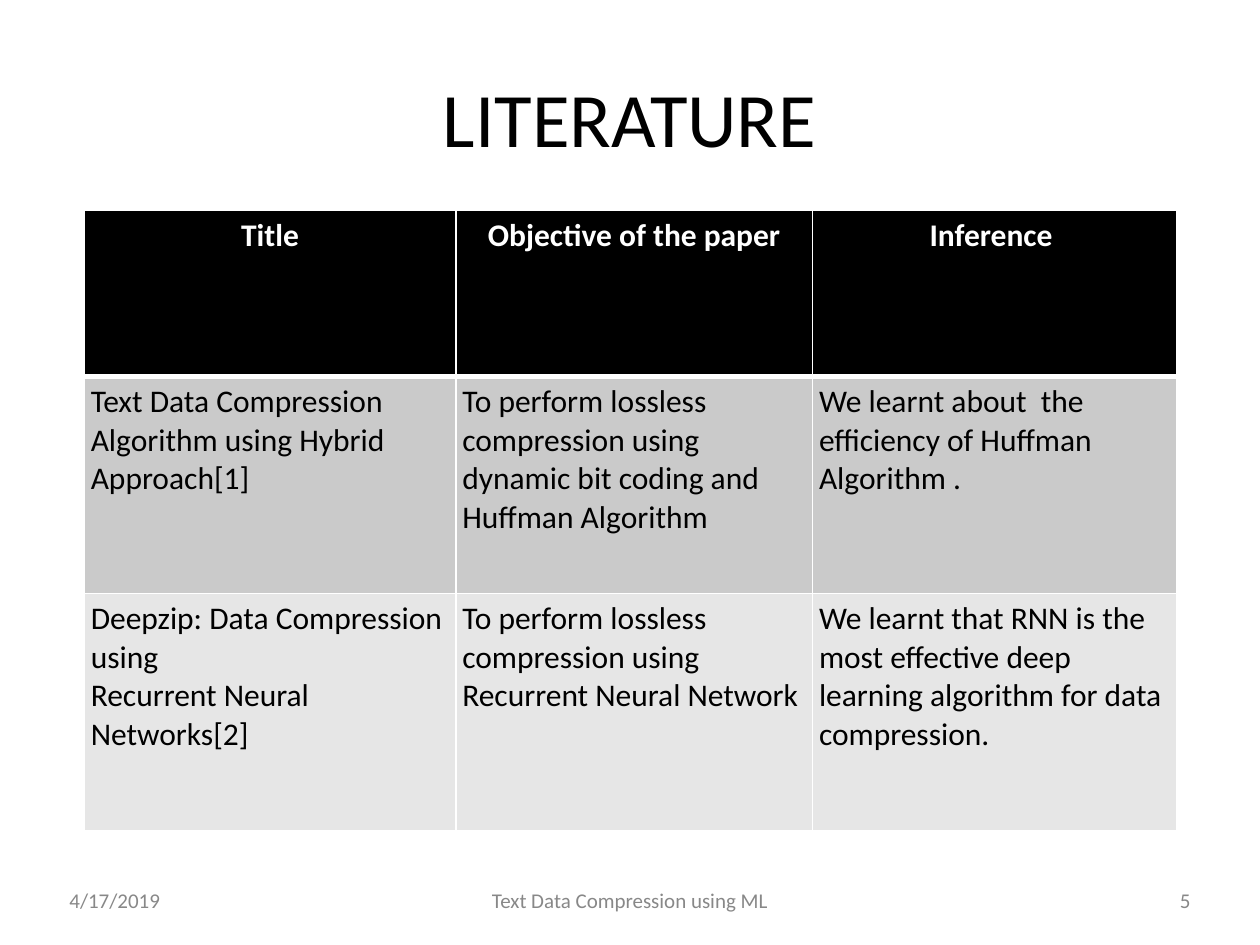
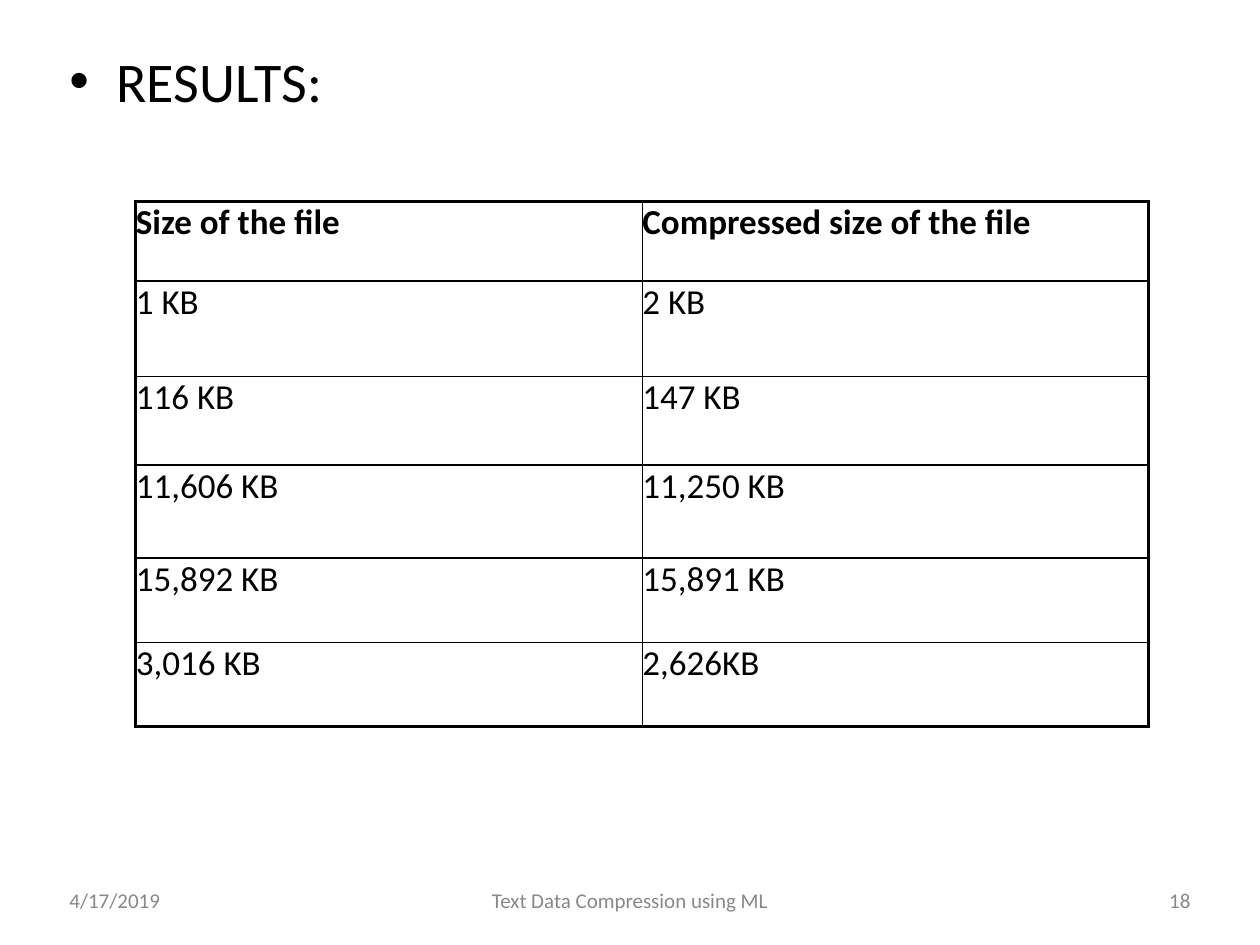
from dataclasses import dataclass

from lxml.etree import SubElement as Sub
from pptx import Presentation
from pptx.dml.color import RGBColor as Rgb
from pptx.enum.text import MSO_ANCHOR as Anchor, PP_ALIGN as Align
from pptx.oxml.ns import qn
from pptx.util import Cm, Pt


@dataclass(frozen=True)
class Theme:
    font: str = "Calibri"
    ink: str = "000000"
    paper: str = "FFFFFF"
    muted: str = "888888"
    bands: tuple = ("CACACA", "E6E6E6")
    title: int = 44
    point: int = 32
    result: int = 20
    body: int = 18
    foot: int = 12
    inset: float = 0.13
    margin: float = 1.27
    width: float = 25.4
    height: float = 19.05


T = Theme()
SPAN = T.width - 2 * T.margin


def write(par, text, size, color, align=Align.LEFT, bold=False):
    """Add text to a paragraph; a newline becomes a line break."""
    par.alignment = align
    for i, line in enumerate(text.split("\n")):
        if i:
            par.add_line_break()
        run = par.add_run()
        run.text = line
        font = run.font
        font.name, font.size, font.bold = T.font, Pt(size), bold
        font.color.rgb = Rgb.from_string(color)


def add_text(slide, box, text, size, color=T.ink, align=Align.LEFT,
             anchor=Anchor.MIDDLE, wrap=True):
    frame = slide.shapes.add_textbox(*map(Cm, box)).text_frame
    frame.word_wrap = wrap
    frame.vertical_anchor = anchor
    frame.margin_left = frame.margin_right = Cm(T.inset)
    frame.margin_top = frame.margin_bottom = Cm(T.inset)
    par = frame.paragraphs[0]
    write(par, text, size, color, align)
    return par


def add_bullet(par, indent):
    par.space_before = Pt(7)
    props = par._p.get_or_add_pPr()
    props.set("marL", str(Cm(indent)))
    props.set("indent", str(-Cm(indent)))
    Sub(props, qn("a:buFont"), typeface="Arial")
    Sub(props, qn("a:buChar"), char="•")


def add_footer(slide, number):
    top, high = 17.78, 0.74
    wide = 0.26 + 0.24 * len(number)
    add_text(slide, (T.margin, top, 5.92, high), "4/17/2019", T.foot, T.muted)
    add_text(slide, (8.68, top, 8.04, high), "Text Data Compression using ML",
             T.foot, T.muted, Align.CENTER)
    add_text(slide, (T.width - T.margin - wide, top, wide, high), number,
             T.foot, T.muted, Align.RIGHT, wrap=False)


def add_edges(cell, color, widths):
    """Draw the borders; widths are left, right, top, bottom in points."""
    props = cell._tc.get_or_add_tcPr()
    for side, width in zip("LRTB", widths):
        line = Sub(props, qn(f"a:ln{side}"), w=str(Pt(width)))
        Sub(Sub(line, qn("a:solidFill")), qn("a:srgbClr"), val=color)


def add_grid(slide, spot, cols, rows, data, style):
    """Build a table; style(cell, row, col, text) finishes each cell."""
    size = sum(cols), sum(rows)
    table = slide.shapes.add_table(len(rows), len(cols),
                                   *map(Cm, spot + size)).table
    table.first_row = table.horz_banding = False
    for col, width in zip(table.columns, cols):
        col.width = Cm(width)
    for row, height in zip(table.rows, rows):
        row.height = Cm(height)
    for r, line in enumerate(data):
        for c, text in enumerate(line):
            style(table.cell(r, c), r, c, text)


def pad(cell, inset):
    cell.margin_left = cell.margin_right = Cm(inset)
    cell.margin_top = cell.margin_bottom = Cm(inset)


def style_paper(cell, row, col, text):
    head = row == 0
    pad(cell, T.inset)
    add_edges(cell, T.paper, (1, 1, 3 if row == 1 else 1, 3 if head else 1))
    cell.fill.solid()
    cell.fill.fore_color.rgb = Rgb.from_string(
        T.ink if head else T.bands[row - 1])
    write(cell.text_frame.paragraphs[0], text, T.body,
          T.paper if head else T.ink,
          Align.CENTER if head else Align.LEFT, head)


def style_size(cell, row, col, text):
    pad(cell, 0)
    outer = (col == 0, col == 1, row == 0, row == len(SIZES) - 1)
    add_edges(cell, T.ink, [2 if edge else 1 for edge in outer])
    cell.fill.background()
    write(cell.text_frame.paragraphs[0], text, T.result, T.ink, bold=row == 0)


PAPERS = (
    ("Title", "Objective of the paper", "Inference "),
    ("Text Data Compression Algorithm using Hybrid Approach[1]",
     "To perform lossless compression using dynamic bit coding and "
     "Huffman Algorithm",
     "We learnt about  the efficiency of Huffman Algorithm ."),
    ("Deepzip: Data Compression using\nRecurrent Neural Networks[2]",
     "To perform lossless compression using Recurrent Neural Network",
     "We learnt that RNN is the most effective deep learning algorithm "
     "for data compression."),
)
SIZES = (
    ("Size of the file", "Compressed size of the file"),
    ("1 KB", "2 KB"),
    ("116 KB", "147 KB"),
    ("11,606 KB", "11,250 KB"),
    ("15,892 KB", "15,891 KB"),
    ("3,016 KB", "2,626KB"),
)


def main():
    deck = Presentation()
    deck.slide_width, deck.slide_height = Cm(T.width), Cm(T.height)
    blank = deck.slide_layouts[6]

    # Literature survey
    slide = deck.slides.add_slide(blank)
    add_text(slide, (T.margin, 0.76, SPAN, 3.18), "LITERATURE", T.title,
             align=Align.CENTER)
    add_grid(slide, (1.7, 4.24), (7.49, 7.19, 7.34), (3.35, 4.37, 4.78),
             PAPERS, style_paper)
    add_footer(slide, "5")

    # Compression results
    slide = deck.slides.add_slide(blank)
    par = add_text(slide, (T.margin, 0.81, SPAN, 16.64), "RESULTS:", T.point,
                   anchor=Anchor.TOP)
    add_bullet(par, 0.95)
    add_grid(slide, (2.74, 4.06), (10.21, 10.21),
             (1.6, 1.93, 1.78, 1.88, 1.7, 1.7), SIZES, style_size)
    add_footer(slide, "18")

    deck.save("out.pptx")


if __name__ == "__main__":
    main()
